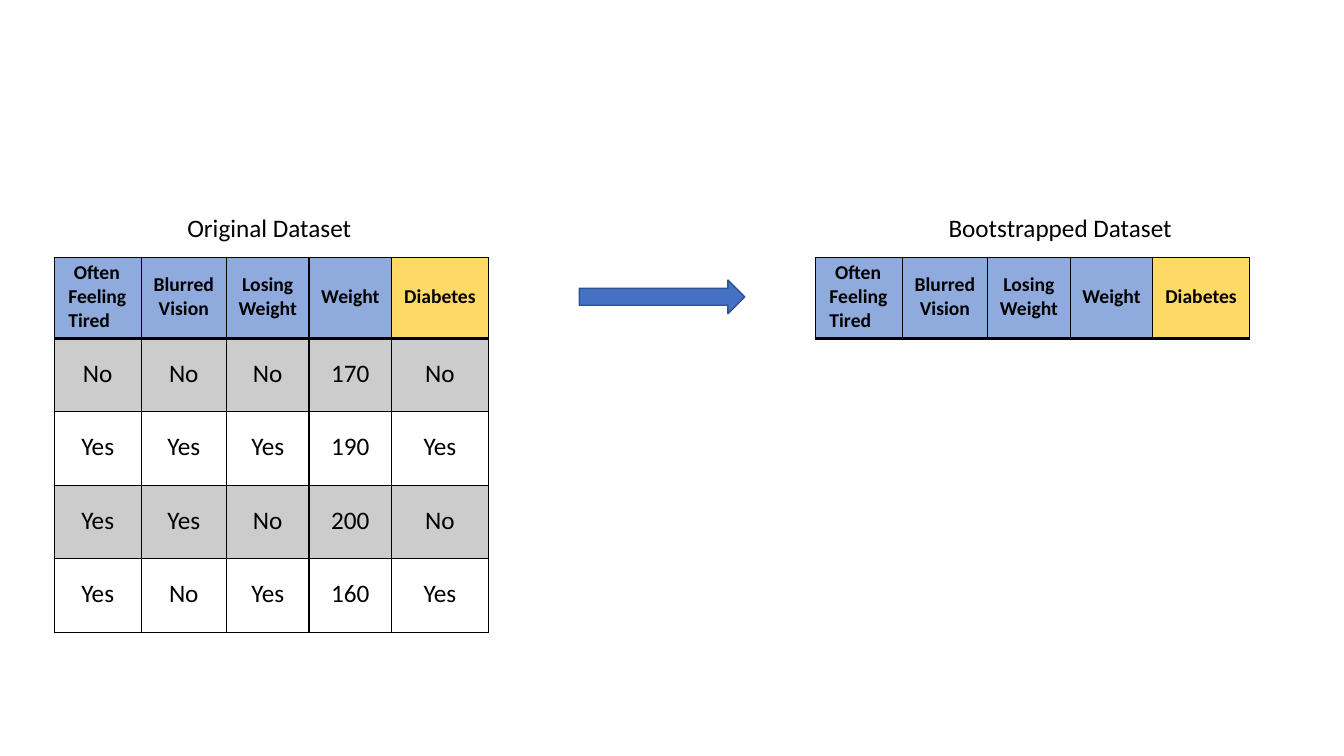
import dataclasses

import pptx
import pptx.dml.color
import pptx.enum.shapes
import pptx.enum.text
import pptx.oxml
import pptx.oxml.ns
import pptx.util

Pt = pptx.util.Pt
RGB = pptx.dml.color.RGBColor.from_string
ALIGN = pptx.enum.text.PP_ALIGN
MIDDLE = pptx.enum.text.MSO_ANCHOR.MIDDLE


@dataclasses.dataclass(frozen=True)
class Theme:
    """Colours, type sizes and line widths of the slide."""
    font: str = "Calibri"
    ink: str = "000000"
    feature: str = "8FAADC"
    target: str = "FFD966"
    band: str = "CCCCCC"
    arrow: str = "4471C4"
    arrow_line: str = "2E528F"
    head_size: float = 14
    body_size: float = 18
    thin: float = 1
    thick: float = 2.25


THEME = Theme()
HEADERS = ["Often Feeling Tired", "Blurred Vision", "Losing Weight", "Weight", "Diabetes"]
RECORDS = [
    ["No", "No", "No", "170", "No"],
    ["Yes", "Yes", "Yes", "190", "Yes"],
    ["Yes", "Yes", "No", "200", "No"],
    ["Yes", "No", "Yes", "160", "Yes"],
]
COL_WIDTHS = [62, 61, 59, 59, 69]
HEAD_HEIGHT, ROW_HEIGHT = 57.6, 52.5
CAPTION_INDENT, CAPTION_HEIGHT = 95, 33.5


def write(tf, text, size=THEME.body_size, bold=False, align=ALIGN.CENTER, before=0,
          left=0, indent=0):
    """Write one formatted paragraph into a text frame."""
    p = tf.paragraphs[0]
    p.alignment = align
    p.space_before = Pt(before)
    if left:
        pPr = p._p.get_or_add_pPr()
        pPr.set("marL", str(Pt(left)))
        pPr.set("indent", str(Pt(indent)))
    r = p.add_run()
    r.text = text
    r.font.name = THEME.font
    r.font.size = Pt(size)
    r.font.bold = bold
    r.font.color.rgb = RGB(THEME.ink)


def border(cell, top, bottom):
    """Give a cell thin sides and the stated top and bottom line widths."""
    tcPr = cell._tc.get_or_add_tcPr()
    for tag, width in (("lnL", THEME.thin), ("lnR", THEME.thin), ("lnT", top), ("lnB", bottom)):
        tcPr.append(pptx.oxml.parse_xml(
            f'<a:{tag} {pptx.oxml.ns.nsdecls("a")} w="{Pt(width)}"><a:solidFill>'
            f'<a:srgbClr val="{THEME.ink}"/></a:solidFill></a:{tag}>'))


def fill_cell(cell, color):
    """Fill a cell, or leave it clear when no colour is given."""
    if color:
        cell.fill.solid()
        cell.fill.fore_color.rgb = RGB(color)
    else:
        cell.fill.background()


def caption(s, text, left, top):
    """Place a dataset caption."""
    sp = s.shapes.add_textbox(Pt(left), Pt(top), Pt(165), Pt(24))
    tf = sp.text_frame
    tf.word_wrap = False
    tf.margin_left = tf.margin_right = tf.margin_bottom = 0
    tf.margin_top = Pt(1)
    write(tf, text, align=ALIGN.LEFT, before=1)


def dataset(s, title, records, left, top):
    """Place a captioned dataset table with its header row and records."""
    caption(s, title, left + CAPTION_INDENT, top)
    rows = [HEADERS, *records]
    height = HEAD_HEIGHT + ROW_HEIGHT * len(records)
    table = s.shapes.add_table(len(rows), len(HEADERS), Pt(left), Pt(top + CAPTION_HEIGHT),
                               Pt(sum(COL_WIDTHS)), Pt(height)).table
    table.first_row = table.horz_banding = False
    for column, width in zip(table.columns, COL_WIDTHS):
        column.width = Pt(width)
    for i, row in enumerate(rows):
        table.rows[i].height = Pt(ROW_HEIGHT if i else HEAD_HEIGHT)
        for j, text in enumerate(row):
            cell = table.cell(i, j)
            cell.margin_left = cell.margin_right = cell.margin_top = 0
            cell.margin_bottom = Pt(2)
            cell.vertical_anchor = MIDDLE
            border(cell, THEME.thick if i == 1 else THEME.thin,
                   THEME.thin if i else THEME.thick)
            if i:
                fill_cell(cell, THEME.band if i % 2 else None)
                write(cell.text_frame, text)
            else:
                fill_cell(cell, THEME.target if text == HEADERS[-1] else THEME.feature)
                layout = {} if j else dict(align=ALIGN.LEFT, left=10, indent=4)
                write(cell.text_frame, text, size=THEME.head_size, bold=True, **layout)


def arrow(s, left, top, width, height):
    """Place the arrow from one dataset to the other."""
    sp = s.shapes.add_shape(pptx.enum.shapes.MSO_SHAPE.RIGHT_ARROW,
                            Pt(left), Pt(top), Pt(width), Pt(height))
    sp.shadow.inherit = False
    sp.fill.solid()
    sp.fill.fore_color.rgb = RGB(THEME.arrow)
    sp.line.color.rgb = RGB(THEME.arrow_line)
    sp.line.width = Pt(THEME.thin)


def main():
    """Build and save the slide."""
    prs = pptx.Presentation()
    prs.slide_width, prs.slide_height = Pt(960), Pt(540)
    s = prs.slides.add_slide(prs.slide_layouts[6])
    dataset(s, "Original Dataset", RECORDS, 38.8, 150.5)
    dataset(s, "Bootstrapped Dataset", [], 582.5, 150.5)
    arrow(s, 413.8, 200, 118.2, 24)
    prs.save("out.pptx")


main()
